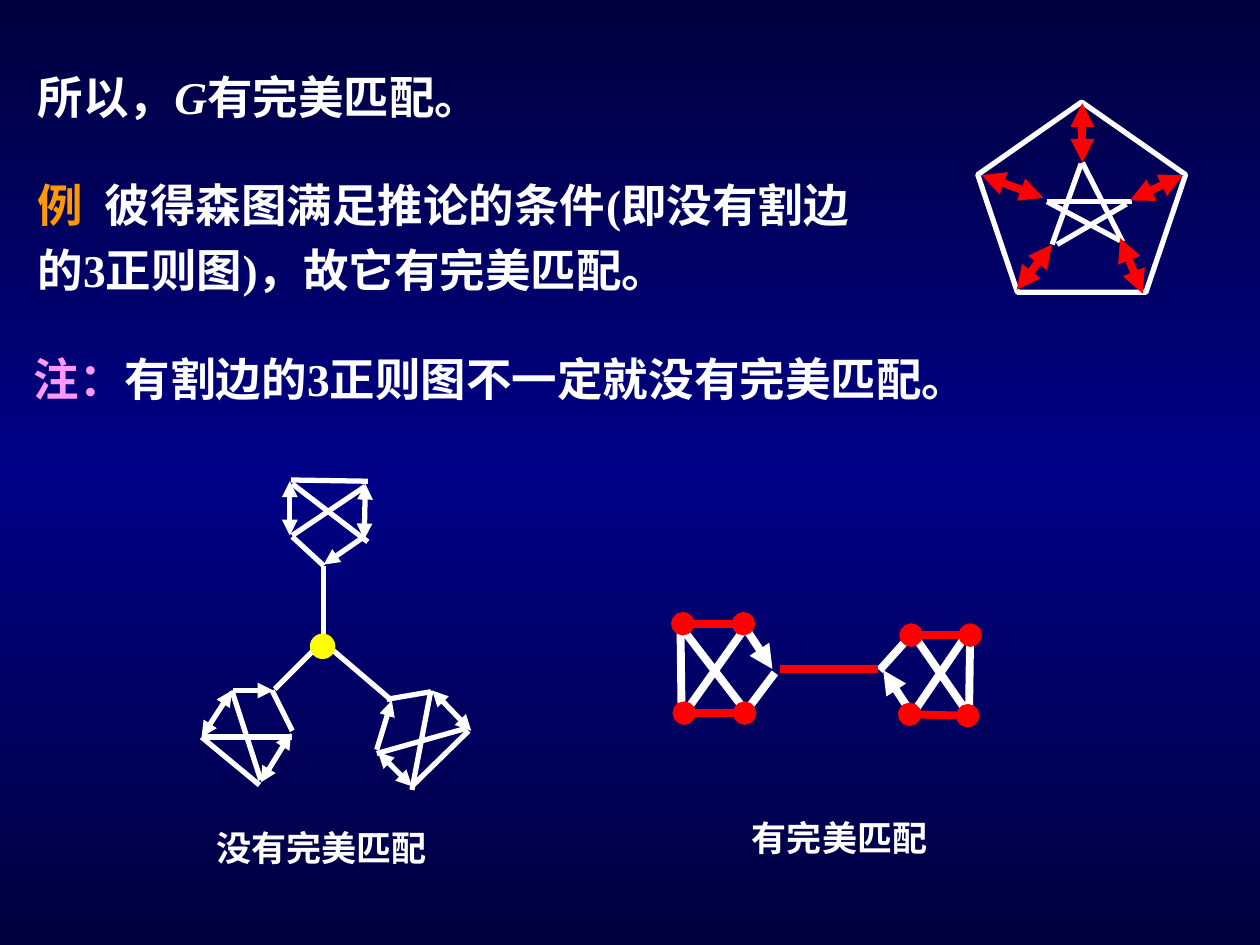
"""Build the slide on perfect matchings in 3-regular graphs."""
import copy

import pptx
import pptx.dml.color
import pptx.enum.lang
import pptx.enum.shapes
import pptx.enum.text
import pptx.oxml.ns
import pptx.util
from lxml import etree

Pt = pptx.util.Pt
qn = pptx.oxml.ns.qn
RGB = pptx.dml.color.RGBColor.from_string
Shape = pptx.enum.shapes.MSO_SHAPE
Align = pptx.enum.text.PP_ALIGN

theme = {
    "font": "Times New Roman",
    "body": 26,
    "label": 20,
    "white": "FFFFFF",
    "red": "FF0000",
    "yellow": "FFFF00",
    "orange": "FF9900",
    "pink": "FF99FF",
    "back": [(0, "00003E"), (0.5, "000086"), (1, "00003E")],
    "thin": 3,
    "thick": 4.5,
}


def write(par, text, color="white", size="body", italic=False):
    run = par.add_run()
    run.text = text
    font = run.font
    font.name = theme["font"]
    font.size = Pt(theme[size])
    font.bold = True
    font.italic = italic
    font.color.rgb = RGB(theme[color])
    font.language_id = pptx.enum.lang.MSO_LANGUAGE_ID.SIMPLIFIED_CHINESE


def draw(group, ends, color, width, head, tail):
    kind = pptx.enum.shapes.MSO_CONNECTOR.STRAIGHT
    edge = group.shapes.add_connector(kind, *[Pt(n) for n in ends])
    edge.line.color.rgb = RGB(theme[color])
    edge.line.width = Pt(theme[width])
    props = edge.element.spPr
    for tag, tip in (("a:headEnd", head), ("a:tailEnd", tail)):
        if tip:
            etree.SubElement(props.find(qn("a:ln")), qn(tag), type=tip)
    etree.SubElement(props, qn("a:effectLst"))


deck = pptx.Presentation()
deck.slide_width, deck.slide_height = Pt(720), Pt(540)
slide = deck.slides.add_slide(deck.slide_layouts[6])

fill = slide.background.fill
fill.gradient()
fill.gradient_angle = 90
stops = slide.element.find(".//" + qn("a:gsLst"))
stops.append(copy.deepcopy(stops[0]))
for stop, (place, color) in zip(fill.gradient_stops, theme["back"]):
    stop.position = place
    stop.color.rgb = RGB(color)

star, pair, tree = [slide.shapes.add_group_shape() for _ in range(3)]

penta = star.shapes.add_shape(
    Shape.REGULAR_PENTAGON, Pt(558.7), Pt(58.3), Pt(118.8), Pt(108.7))
penta.shadow.inherit = False
penta.fill.background()
penta.line.color.rgb = RGB(theme["white"])
penta.line.width = Pt(theme["thin"])

edges = [
    (star, "white", "thin", None, None, [
        (617.8, 93.6, 601.2, 139.7), (598.3, 115.2, 646.6, 115.2),
        (598.3, 115.2, 640.1, 137.5), (643.7, 116.6, 604.1, 139.7),
        (618.5, 92.9, 641.5, 138.2)]),
    (star, "red", "thick", "triangle", "triangle", [
        (640.1, 136.1, 653, 167.8), (601.2, 139.7, 581, 165.6),
        (676.1, 100.1, 645.8, 114.5), (618.5, 59, 618.5, 92.9),
        (560.9, 100.1, 596.2, 113)]),
    (pair, "white", "thick", "triangle", None, [
        (441.4, 382.3, 423.4, 355), (504.7, 383, 521.3, 408.2)]),
    (pair, "white", "thick", None, None, [
        (442.8, 384.5, 425.5, 407.5), (388.8, 355, 389.5, 407.5),
        (388.8, 357.8, 427, 407.5), (390.2, 409, 427, 357.1),
        (502.6, 383, 521.3, 362.2), (553.7, 410.4, 554.4, 360.7),
        (520.6, 360.7, 555.1, 410.4), (519.8, 410.4, 553.7, 360.7)]),
    (pair, "red", "thick", None, None, [(445.7, 382.3, 501.8, 382.3)]),
    (pair, "red", "thick", "oval", "oval", [
        (520.6, 362.9, 554.4, 362.9), (519.8, 408.2, 553, 409),
        (390.2, 356.4, 424.8, 356.4), (391, 407.5, 425.5, 407.5)]),
    (tree, "white", "thin", "triangle", "triangle", [
        (132.5, 394.6, 115.2, 421.2), (166.3, 419, 149, 447.1),
        (208.1, 308.2, 208.8, 276.5), (165.6, 306, 165.6, 275),
        (216, 429.8, 235.4, 449.3), (247, 394.6, 269.3, 417.6)]),
    (tree, "white", "thin", "triangle", None, [
        (185, 322.6, 208.1, 306.7), (223.9, 400.3, 215.3, 428.4)]),
    (tree, "white", "thin", None, "triangle", [(133.2, 394.6, 156.2, 394.6)]),
    (tree, "white", "thin", None, None, [
        (185, 323.3, 167, 306.7), (210.2, 275, 166.3, 274.3),
        (221, 399.6, 246.2, 395.3), (185, 323.3, 185, 367.2),
        (167, 276.5, 210.2, 309.6), (167, 306, 208.8, 277.9),
        (215.3, 430.6, 266.4, 416.2), (246.2, 394.6, 235.4, 451.4),
        (235.4, 449.3, 267.8, 417.6), (115.9, 421.2, 167, 421.2),
        (148.3, 448.6, 115.2, 421.2), (132.5, 394.6, 149, 445.7),
        (155.5, 394.6, 167, 417.6), (157, 393.8, 180, 370.8),
        (184.3, 366.5, 223.9, 400.3)]),
]
for group, color, width, head, tail, lines in edges:
    for ends in lines:
        draw(group, ends, color, width, head, tail)

hub = tree.shapes.add_shape(
    Shape.OVAL, Pt(178.6), Pt(363.6), Pt(11.5), Pt(11.5))
hub.shadow.inherit = False
hub.fill.solid()
hub.fill.fore_color.rgb = RGB(theme["yellow"])
hub.line.color.rgb = RGB(theme["yellow"])
hub.line.width = Pt(theme["thin"])

notes = [
    ((14.4, 36, 283.7, 38.9), 1, None, [
        ("所以，", {}), ("G", {"italic": True}), ("有完美匹配。", {})]),
    ((14.4, 91.4, 487.4, 82.1), 1.2, 38.4, [
        ("例\t", {"color": "orange"}),
        ("彼得森图满足推论的条件(即没有割边的3正则图)，故它有完美匹配。", {})]),
    ((12.2, 197.3, 585.4, 38.9), 1, None, [
        ("注：", {"color": "pink"}),
        ("有割边的3正则图不一定就没有完美匹配。", {})]),
]
for place, gap, tab, runs in notes:
    frame = slide.shapes.add_textbox(*[Pt(n) for n in place]).text_frame
    frame.word_wrap = True
    frame.auto_size = pptx.enum.text.MSO_AUTO_SIZE.SHAPE_TO_FIT_TEXT
    par = frame.paragraphs[0]
    par.line_spacing = gap
    if tab:
        tabs = etree.SubElement(par._p.get_or_add_pPr(), qn("a:tabLst"))
        etree.SubElement(tabs, qn("a:tab"), pos=str(Pt(tab)), algn="l")
    for text, form in runs:
        write(par, text, **form)

labels = [
    (pair, (422.6, 463, 130.3, 39.6), "有完美匹配"),
    (tree, (116.6, 468.7, 141.8, 31.7), "没有完美匹配"),
]
for group, place, text in labels:
    frame = group.shapes.add_textbox(*[Pt(n) for n in place]).text_frame
    frame.word_wrap = True
    frame.paragraphs[0].alignment = Align.JUSTIFY
    write(frame.paragraphs[0], text, size="label")

deck.save("out.pptx")
